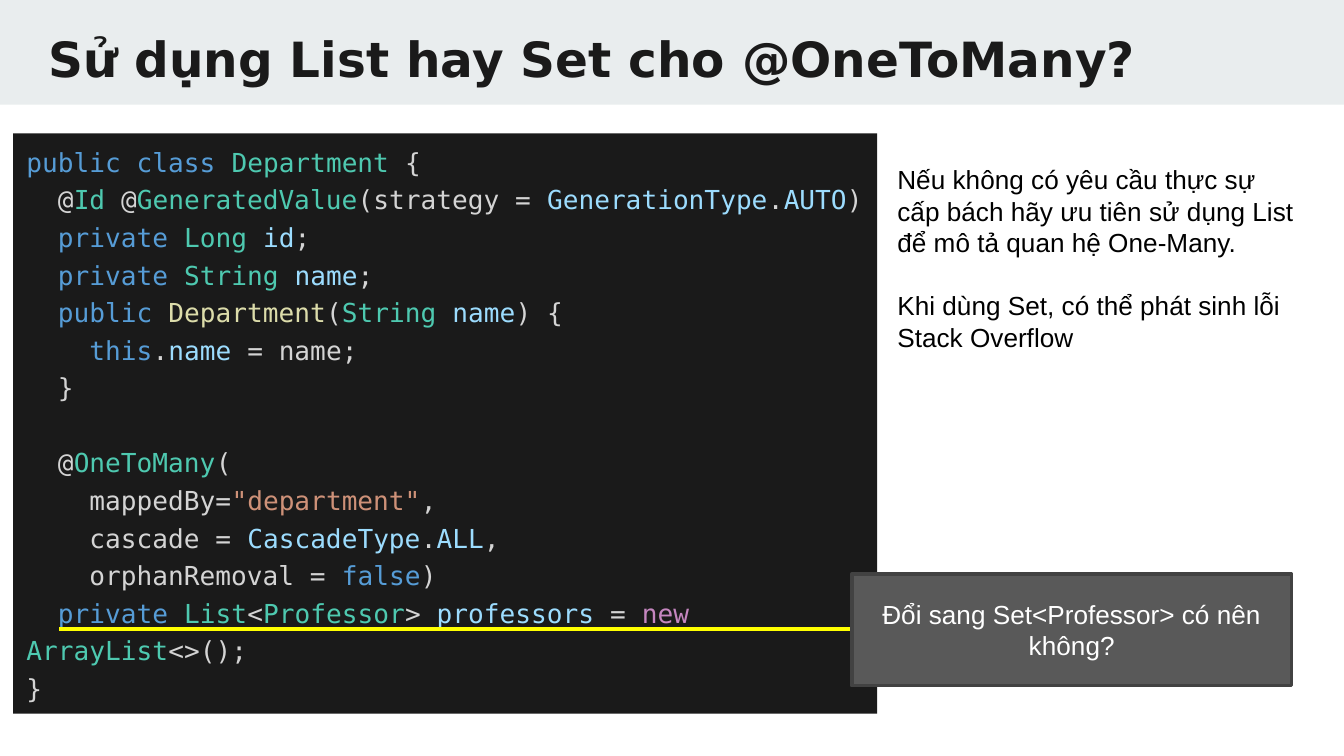
from lxml.etree import SubElement
from pptx import Presentation
from pptx.dml.color import RGBColor
from pptx.enum.shapes import MSO_CONNECTOR, MSO_SHAPE
from pptx.enum.text import MSO_ANCHOR, PP_ALIGN
from pptx.oxml.ns import qn
from pptx.util import Cm, Pt

DARK, WHITE, BLACK = "1A1A1A", "FFFFFF", "000000"
PLAIN, KEYWORD, TYPE, FIELD = "D4D4D4", "569CD6", "4EC9B0", "9CDCFE"
METHOD, STRING, OPERATOR = "DCDCAA", "CE9178", "C586C0"

CODE_LINES = [
    [("public class ", KEYWORD), ("Department", TYPE), (" {", PLAIN)],
    [("  @", PLAIN), ("Id", TYPE), (" @", PLAIN), ("GeneratedValue", TYPE),
     ("(strategy = ", PLAIN), ("GenerationType", FIELD), (".", PLAIN),
     ("AUTO", FIELD), (")", PLAIN)],
    [("  private ", KEYWORD), ("Long ", TYPE), ("id", FIELD), (";", PLAIN)],
    [("  private ", KEYWORD), ("String ", TYPE), ("name", FIELD), (";", PLAIN)],
    [("  public ", KEYWORD), ("Department", METHOD), ("(", PLAIN),
     ("String ", TYPE), ("name", FIELD), (") {", PLAIN)],
    [("    this", KEYWORD), (".", PLAIN), ("name", FIELD), (" = name;", PLAIN)],
    [("  }", PLAIN)],
    [("  @", PLAIN), ("OneToMany", TYPE), ("(", PLAIN)],
    [("    mappedBy=", PLAIN), ('"department"', STRING), (",", PLAIN)],
    [("    cascade = ", PLAIN), ("CascadeType", FIELD), (".", PLAIN),
     ("ALL", FIELD), (",", PLAIN)],
    [("    orphanRemoval = ", PLAIN), ("false", KEYWORD), (")", PLAIN)],
    [("  private ", KEYWORD), ("List", TYPE), ("<", PLAIN), ("Professor", TYPE),
     ("> ", PLAIN), ("professors", FIELD), (" = ", PLAIN), ("new ", OPERATOR),
     ("ArrayList", TYPE), ("<>();", PLAIN)],
    [("}", PLAIN)],
]
ANNOTATION_LINE = 7
ADVICE = [
    "Nếu không có yêu cầu thực sự\ncấp bách hãy ưu tiên sử dụng List\n"
    "để mô tả quan hệ One-Many.",
    "Khi dùng Set, có thể phát sinh lỗi\nStack Overflow",
]


def rgb(hex_code):
    return RGBColor.from_string(hex_code)


class SlideBuilder:
    """Draws on one slide; lengths are in centimetres."""

    heading_font, body_font, code_font = "DejaVu Sans", "Arial", "DejaVu Sans Mono"
    body_size = 14

    def __init__(self, slide):
        self.slide = slide

    def style(self, run, color, font=body_font, size=body_size, bold=False):
        run.font.name = font
        run.font.size = Pt(size)
        run.font.bold = bold
        run.font.color.rgb = rgb(color)

    def panel(self, left, top, width, height, fill, border=None):
        panel = self.slide.shapes.add_shape(
            MSO_SHAPE.RECTANGLE, Cm(left), Cm(top), Cm(width), Cm(height))
        panel.shadow.inherit = False
        panel.fill.solid()
        panel.fill.fore_color.rgb = rgb(fill)
        if border:
            panel.line.color.rgb = rgb(border)
            panel.line.width = Pt(2)
        else:
            panel.line.fill.background()
        return panel

    def text(self, left, top, width, height, paragraphs, color, gap=0, **font):
        box = self.slide.shapes.add_textbox(Cm(left), Cm(top), Cm(width), Cm(height))
        frame = box.text_frame
        frame.word_wrap = True
        for index, content in enumerate(paragraphs):
            paragraph = frame.add_paragraph() if index else frame.paragraphs[0]
            paragraph.text = content
            if index:
                paragraph.space_before = Pt(gap)
            for run in paragraph.runs:
                self.style(run, color, **font)
        return frame

    def code(self, left, top, width, height, lines, spaced_line):
        """Draw coloured code, with a one-line gap above spaced_line."""
        frame = self.panel(left, top, width, height, DARK).text_frame
        frame.word_wrap = True
        frame.vertical_anchor = MSO_ANCHOR.TOP
        for index, tokens in enumerate(lines):
            paragraph = frame.add_paragraph() if index else frame.paragraphs[0]
            paragraph.alignment = PP_ALIGN.LEFT
            paragraph.line_spacing = 1.2
            if index == spaced_line:
                paragraph.space_before = Pt(20)
            for content, color in tokens:
                run = paragraph.add_run()
                run.text = content
                self.style(run, color, self.code_font)

    def underline(self, left, right, y, color):
        line = self.slide.shapes.add_connector(
            MSO_CONNECTOR.STRAIGHT, Cm(left), Cm(y), Cm(right), Cm(y))
        line.line.color.rgb = rgb(color)
        line.line.width = Pt(2.25)
        SubElement(line._element.spPr, qn("a:effectLst"))

    def callout(self, left, top, width, height, content):
        frame = self.panel(left, top, width, height, "595959", "424242").text_frame
        frame.word_wrap = True
        frame.vertical_anchor = MSO_ANCHOR.MIDDLE
        frame.text = content
        paragraph = frame.paragraphs[0]
        paragraph.alignment = PP_ALIGN.CENTER
        self.style(paragraph.runs[0], WHITE)


def main():
    presentation = Presentation()
    presentation.slide_width, presentation.slide_height = Cm(25.4), Cm(14.29)
    builder = SlideBuilder(presentation.slides.add_slide(presentation.slide_layouts[6]))

    builder.panel(0, 0, 25.4, 1.98, "E9EDEE")
    title = builder.text(0.66, 0.3, 24.18, 1.5, ["Sử dụng List hay Set cho @OneToMany?"],
                         DARK, font=builder.heading_font, size=26, bold=True)
    title.margin_top = title.margin_bottom = Cm(0.25)

    builder.code(0.25, 2.52, 16.33, 10.97, CODE_LINES, ANNOTATION_LINE)
    builder.underline(1.12, 16.15, 11.89, "FFFF00")
    builder.callout(16.1, 10.85, 8.31, 2.11, "Đổi sang Set<Professor> có nên không?")
    builder.text(16.71, 2.97, 8.43, 3.84, ADVICE, BLACK, gap=17)

    presentation.save("out.pptx")


if __name__ == "__main__":
    main()
